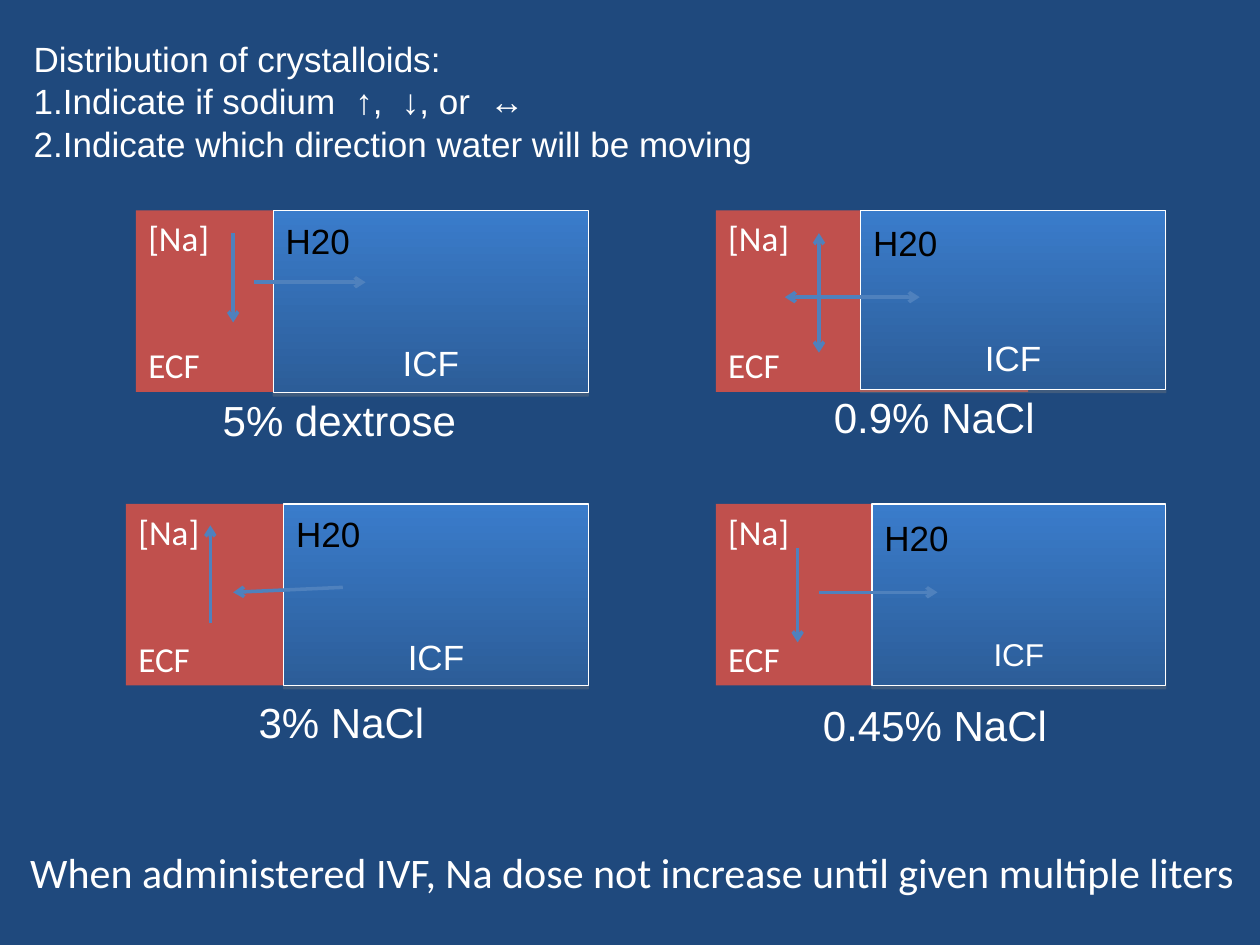
from lxml.etree import SubElement
from pptx import Presentation
from pptx.dml.color import RGBColor
from pptx.enum.shapes import MSO_CONNECTOR, MSO_SHAPE
from pptx.enum.text import MSO_ANCHOR, PP_ALIGN
from pptx.oxml.ns import qn
from pptx.util import Cm, Pt

COLORS = {
    "back": "1F497D", "ecf": "C0504D", "top": "3A7CCB", "base": "2C5D98",
    "arrow": "4F81BD", "shade": "808080", "white": "FFFFFF", "black": "000000",
}


def tint(name):
    return RGBColor.from_string(COLORS[name])


def style(para, size, face="Arial", color="white", align=PP_ALIGN.LEFT):
    para.alignment = align
    for run in para.runs:
        run.font.size = Pt(size)
        run.font.name = face
        run.font.color.rgb = tint(color)


def add_text(slide, box, text, wrap=True):
    frame = slide.shapes.add_textbox(*map(Cm, box)).text_frame
    frame.word_wrap = wrap
    frame.text = text
    return frame


def add_rect(slide, box, text, anchor):
    rect = slide.shapes.add_shape(MSO_SHAPE.RECTANGLE, *map(Cm, box))
    rect.shadow.inherit = False
    frame = rect.text_frame
    frame.word_wrap = True
    frame.vertical_anchor = anchor
    frame.text = text
    return rect, frame.paragraphs


def add_ecf(slide, box):
    rect, (salt, label) = add_rect(slide, box, "[Na]\nECF", MSO_ANCHOR.TOP)
    rect.fill.solid()
    rect.fill.fore_color.rgb = tint("ecf")
    rect.line.fill.background()
    label.space_before = Pt(48.8)
    for para in (salt, label):
        style(para, 20, "Calibri")


def add_icf(slide, box, size, gap):
    rect, (water, label) = add_rect(slide, box, "H20\nICF", MSO_ANCHOR.MIDDLE)
    rect.fill.gradient()
    rect.fill.gradient_angle = 270
    for stop, name in zip(rect.fill.gradient_stops, ("top", "base")):
        stop.color.rgb = tint(name)
    rect.line.color.rgb = tint("white")
    rect.line.width = Pt(0.75)
    # Thin shadow below the box
    effects = rect._element.spPr.find(qn("a:effectLst"))
    shadow = SubElement(effects, qn("a:outerShdw"), blurRad="0",
                        dist=str(Pt(1.8)), dir="5400000", rotWithShape="0")
    shade = SubElement(shadow, qn("a:srgbClr"), val=COLORS["shade"])
    SubElement(shade, qn("a:alpha"), val="35000")
    label.space_before = Pt(gap)
    style(water, 20, color="black")
    style(label, size, align=PP_ALIGN.CENTER)


def add_arrow(slide, left, top, ends, both):
    x1, y1, x2, y2 = ends
    line = slide.shapes.add_connector(
        MSO_CONNECTOR.STRAIGHT, Cm(left + x1), Cm(top + y1),
        Cm(left + x2), Cm(top + y2))
    line.line.color.rgb = tint("arrow")
    line.line.width = Pt(2)
    stroke = line.line._get_or_add_ln()
    for tag in ("a:headEnd", "a:tailEnd") if both else ("a:tailEnd",):
        SubElement(stroke, qn(tag), type="arrow")
    SubElement(line._element.spPr, qn("a:effectLst"))


def add_panel(slide, box, split, name, caption, arrows, both=False,
              ecf=(6.3, 3.66), size=20, gap=46, align=PP_ALIGN.CENTER):
    left, top, width, height = box
    add_ecf(slide, (left, top, *ecf))
    add_icf(slide, (left + split, top, width - split, height), size, gap)
    x, y, wide = caption
    frame = add_text(slide, (left + x, top + y, wide, 1.27), name)
    style(frame.paragraphs[0], 24, align=align)
    for ends in arrows:
        add_arrow(slide, left, top, ends, both)


def add_head(slide, box):
    frame = add_text(slide, box, "Distribution of crystalloids:\n"
                     "Indicate if sodium  ↑,  ↓, or  ↔\n"
                     "Indicate which direction water will be moving")
    for para in frame.paragraphs[1:]:
        props = para._p.get_or_add_pPr()
        props.set("marL", "0")
        props.set("indent", "0")
        color = SubElement(props, qn("a:buClr"))
        SubElement(color, qn("a:srgbClr"), val=COLORS["white"])
        SubElement(props, qn("a:buAutoNum"), type="arabicPeriod")
    # Split the first step so that its up arrow is bold
    step = frame.paragraphs[1]
    start, mark, rest = step.runs[0].text.partition("↑")
    step.runs[0].text = start
    for part in (mark, rest):
        run = step.add_run()
        run.text = part
        run.font.bold = part == mark
    for para in frame.paragraphs:
        style(para, 20)


def add_foot(slide, box):
    frame = add_text(slide, box, "When administered IVF, Na dose not increase "
                     "until given multiple liters", wrap=False)
    style(frame.paragraphs[0], 24, "Calibri")


def main():
    deck = Presentation()
    deck.slide_width, deck.slide_height = Cm(25.4), Cm(19.05)
    slide = deck.slides.add_slide(deck.slide_layouts[6])
    slide.background.fill.solid()
    slide.background.fill.fore_color.rgb = tint("back")

    add_head(slide, (0.43, 0.64, 16.08, 2.79))

    # Fluid panels: sodium arrow first, then water arrow
    add_panel(slide, (2.74, 4.24, 9.12, 3.68), 2.77, "5% dextrose",
              (1.5, 3.58, 5.92),
              [(1.96, 0.46, 1.96, 2.26), (2.39, 1.45, 4.63, 1.45)],
              align=PP_ALIGN.LEFT)
    add_panel(slide, (14.43, 4.24, 9.07, 3.61), 2.92, "0.9% NaCl",
              (1.65, 3.53, 5.51),
              [(2.08, 0.46, 2.08, 2.87), (1.39, 1.75, 4.11, 1.75)],
              both=True, gap=41.4)
    add_panel(slide, (2.54, 10.16, 9.32, 3.66), 3.18, "3% NaCl",
              (1.27, 3.76, 6.15),
              [(1.7, 2.39, 1.7, 0.43), (4.37, 1.68, 2.16, 1.78)],
              ecf=(6.53, 3.66))
    add_panel(slide, (14.43, 10.16, 9.07, 3.66), 3.15, "0.45% NaCl",
              (1.88, 3.81, 5.08),
              [(1.65, 0.89, 1.65, 2.79), (2.08, 1.78, 4.47, 1.78)],
              size=18, gap=43.7)

    add_foot(slide, (0.36, 16.94, 24.94, 1.27))
    deck.save("out.pptx")


if __name__ == "__main__":
    main()
